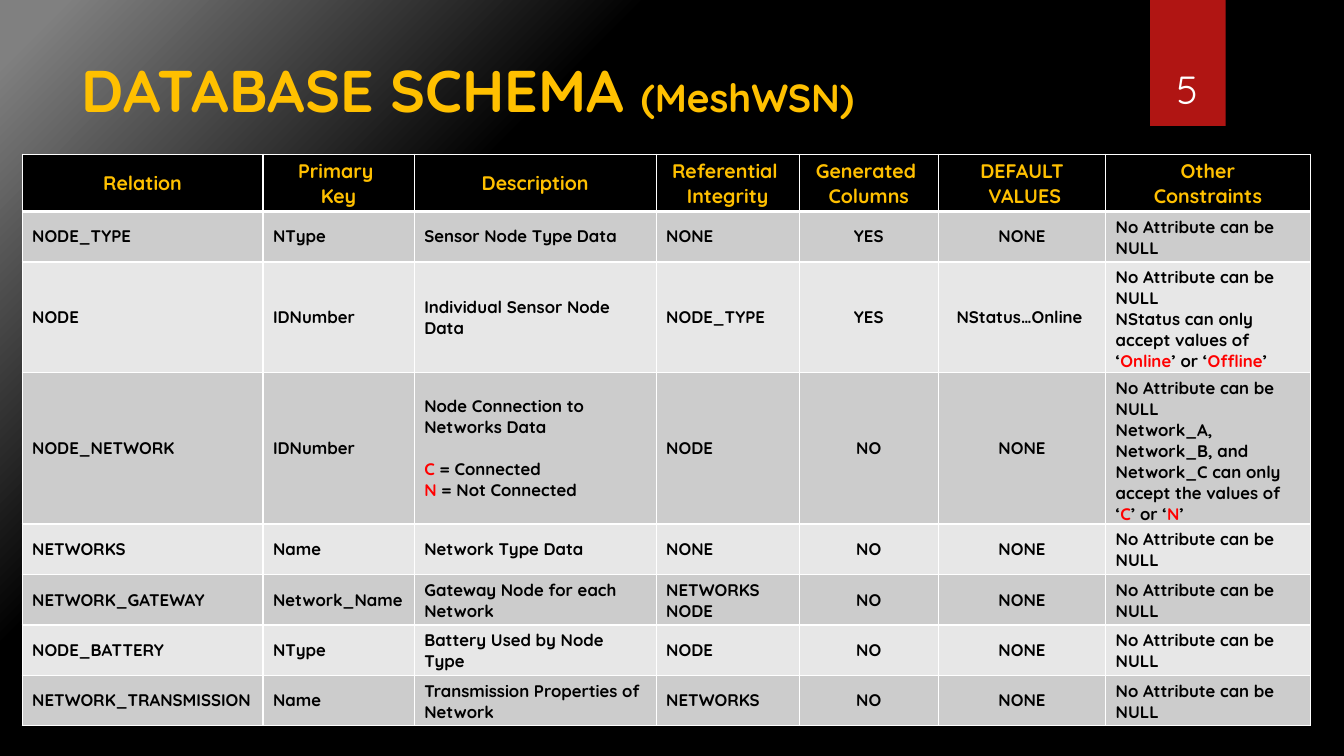
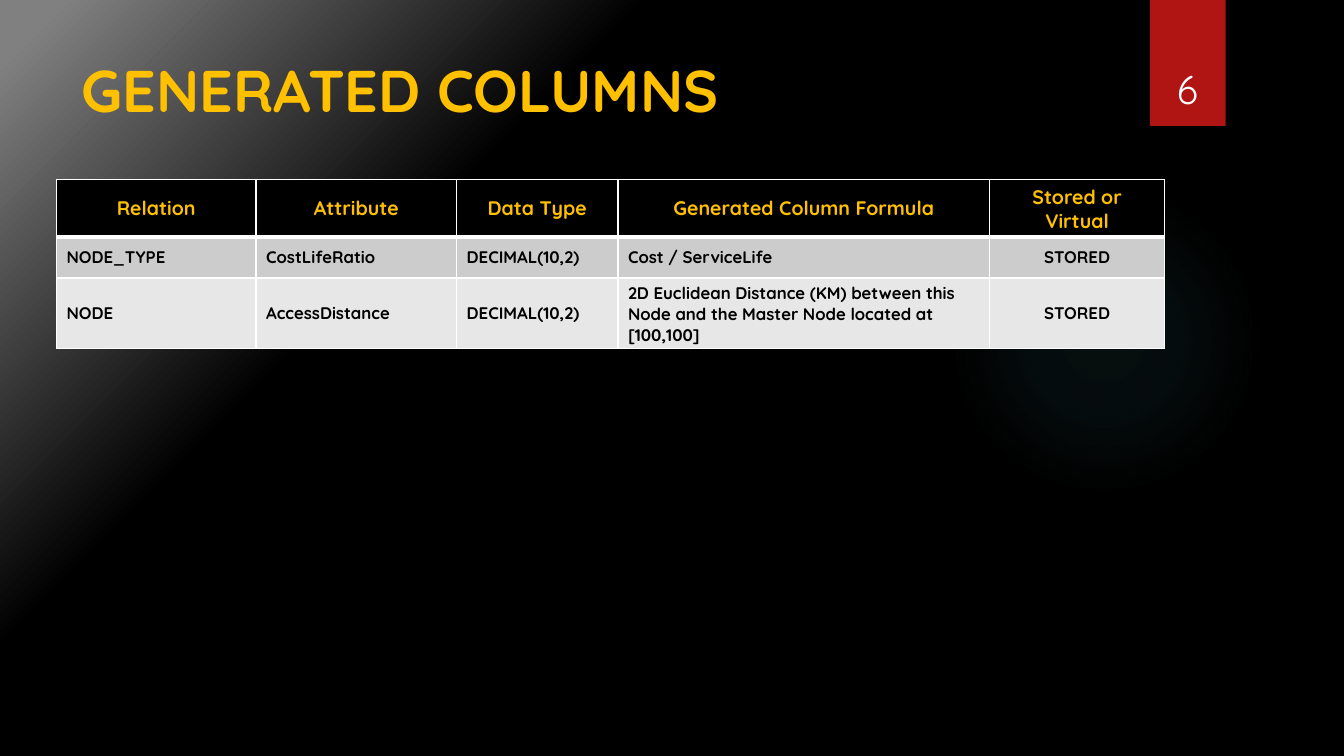
from dataclasses import dataclass

from pptx import Presentation as Deck
from pptx.dml.color import RGBColor as Color
from pptx.enum.shapes import MSO_SHAPE as Kind
from pptx.enum.text import MSO_ANCHOR as Anchor, MSO_AUTO_SIZE as Fit, PP_ALIGN as Align
from pptx.oxml import parse_xml as build
from pptx.oxml.ns import nsdecls, qn
from pptx.util import Pt


@dataclass(frozen=True)
class Theme:
    """Colours, font and type sizes of the deck."""
    font: str = "Quicksand"
    gold: str = "FFC000"
    red: str = "FF0000"
    flag: str = "B01513"
    glow: str = "50B9C1"
    black: str = "000000"
    white: str = "FFFFFF"
    grey: str = "808080"
    bands: tuple = ("CCCCCC", "E7E7E7")
    title: int = 42
    sub: int = 28
    head: int = 14
    body: int = 12


def adorn(item, form):
    """Set each named value of form on item."""
    for name, value in form.items():
        setattr(item, name, value)


def radial(stops, focus):
    """Return a round gradient; stops are (place, colour, opacity) in percent."""
    marks = "".join(
        f'<a:gs pos="{place * 1000}"><a:srgbClr val="{tone}">'
        f'<a:alpha val="{alpha * 1000}"/></a:srgbClr></a:gs>'
        for place, tone, alpha in stops)
    sides = " ".join(f'{side}="{part * 1000}"' for side, part in zip("ltrb", focus))
    return build(f'<a:gradFill {nsdecls("a")} rotWithShape="1"><a:gsLst>{marks}</a:gsLst>'
                 f'<a:path path="circle"><a:fillToRect {sides}/></a:path></a:gradFill>')


class Maker:
    """Builds slides in one style."""

    def __init__(self, theme):
        """Start a wide deck with the shared backdrop."""
        self.theme = theme
        self.deck = Deck()
        adorn(self.deck, {"slide_width": Pt(960), "slide_height": Pt(540)})
        master = self.deck.slide_master
        master.background.fill.solid()
        back = master.element.find(".//" + qn("p:bgPr"))
        stops = [(0, theme.black, 100), (23, theme.black, 100),
                 (69, theme.black, 100), (97, theme.grey, 100)]
        back.replace(back[0], radial(stops, (100, 100, 0, 0)))

    def text(self, para, words, size, tone, bold=True):
        """Add one run to a paragraph."""
        run = para.add_run()
        run.text = words
        adorn(run.font, {"name": self.theme.font, "size": Pt(size), "bold": bold})
        run.font.color.rgb = Color.from_string(tone)

    def shape(self, kind, box, tone):
        """Add a plain filled shape."""
        shape = self.slide.shapes.add_shape(kind, *map(Pt, box))
        shape.shadow.inherit = False
        shape.fill.solid()
        shape.fill.fore_color.rgb = Color.from_string(tone)
        shape.line.fill.background()
        return shape

    def glow(self):
        """Add the faint round glow."""
        tone = self.theme.glow
        props = self.shape(Kind.OVAL, (677.5, 131.8, 221.8, 221.8), tone).element.spPr
        stops = [(0, tone, 7), (36, tone, 6), (69, tone, 0)]
        props.replace(props.find(qn("a:solidFill")), radial(stops, (50, 50, 50, 50)))

    def flag(self, number):
        """Add the red flag and the page number on it."""
        theme = self.theme
        flag = self.shape(Kind.RECTANGLE, (821.5, 0, 54, 90), theme.flag)
        flag.element.spPr.find(qn("a:effectLst")).append(build(
            f'<a:outerShdw {nsdecls("a")} blurRad="{Pt(3)}" dist="{Pt(2)}" dir="5400000">'
            f'<a:srgbClr val="{theme.black}"><a:alpha val="45000"/></a:srgbClr></a:outerShdw>'))
        frame = self.slide.shapes.add_textbox(*map(Pt, (815, 23, 66.2, 60.5))).text_frame
        adorn(frame, {"word_wrap": True, "vertical_anchor": Anchor.BOTTOM})
        para = frame.paragraphs[0]
        para.alignment = Align.CENTER
        self.text(para, str(number), theme.sub, theme.white, False)

    def page(self, number, title, width, note=""):
        """Start a slide with its title, glow and flag."""
        theme = self.theme
        self.slide = self.deck.slides.add_slide(self.deck.slide_layouts[5])
        head = self.slide.shapes.title
        adorn(head, {"left": Pt(51.1), "top": Pt(36), "width": Pt(width), "height": Pt(52.6)})
        frame = head.text_frame
        adorn(frame, {"word_wrap": True, "auto_size": Fit.NONE,
                      "vertical_anchor": Anchor.TOP, "margin_top": Pt(2)})
        para = frame.paragraphs[0]
        para.alignment = Align.LEFT
        self.text(para, title, theme.title, theme.gold)
        if note:
            self.text(para, note, theme.sub, theme.gold)
        self.glow()
        self.flag(number)

    def edge(self, cell, row):
        """Draw the cell borders, with a thick rule under the header."""
        wide = {"T": 3 if row == 1 else 1, "B": 3 if row == 0 else 1}
        props = cell._tc.get_or_add_tcPr()
        for spot, side in enumerate("LRTB"):
            props.insert(spot, build(
                f'<a:ln{side} {nsdecls("a")} w="{Pt(wide.get(side, 1))}"><a:solidFill>'
                f'<a:srgbClr val="{self.theme.white}"/></a:solidFill></a:ln{side}>'))

    def cell(self, cell, words, row, middle):
        """Fill a cell: newline splits paragraphs, ^ adds a gap, *words* are red."""
        theme = self.theme
        size, tone, fill = ((theme.body, theme.black, theme.bands[(row - 1) % 2])
                            if row else (theme.head, theme.gold, theme.black))
        cell.vertical_anchor = Anchor.MIDDLE
        cell.fill.solid()
        cell.fill.fore_color.rgb = Color.from_string(fill)
        self.edge(cell, row)
        for index, line in enumerate(words.split("\n")):
            frame = cell.text_frame
            para = frame.add_paragraph() if index else frame.paragraphs[0]
            para.alignment = Align.CENTER if middle or not row else Align.LEFT
            if line.startswith("^"):
                para.space_before = Pt(15)
            for turn, part in enumerate(line.lstrip("^").split("*")):
                if part:
                    self.text(para, part, size, theme.red if turn % 2 else tone)

    def table(self, left, top, widths, rows, centred):
        """Add a banded table whose centred columns are given by index."""
        tall = 29.5
        grid = self.slide.shapes.add_table(
            len(rows), len(widths), Pt(left), Pt(top),
            Pt(sum(widths)), Pt(tall * len(rows))).table
        for column, width in zip(grid.columns, widths):
            column.width = Pt(width)
        for row, texts in enumerate(rows):
            grid.rows[row].height = Pt(tall)
            for col, words in enumerate(texts):
                self.cell(grid.cell(row, col), words, row, col in centred)


FULL = "No Attribute can be NULL"
SCHEMA = [
    ("Relation", "Primary \nKey", "Description", "Referential \nIntegrity",
     "Generated \nColumns", "DEFAULT\n VALUES", "Other\nConstraints"),
    ("NODE_TYPE", "NType", "Sensor Node Type Data", "NONE", "YES", "NONE", FULL),
    ("NODE", "IDNumber", "Individual Sensor Node Data", "NODE_TYPE", "YES",
     "NStatus…Online ",
     FULL + "\nNStatus can only accept values of ‘*Online*’ or ‘*Offline*’"),
    ("NODE_NETWORK", "IDNumber",
     "Node Connection to Networks Data\n^*C* = Connected\n*N* = Not Connected",
     "NODE", "NO", "NONE",
     FULL + "\nNetwork_A, Network_B, and Network_C can only accept the values of "
     "‘*C*’ or ‘*N*’"),
    ("NETWORKS", "Name", "Network Type Data", "NONE", "NO", "NONE", FULL),
    ("NETWORK_GATEWAY", "Network_Name", "Gateway Node for each Network",
     "NETWORKS\nNODE", "NO", "NONE", FULL),
    ("NODE_BATTERY", "NType", "Battery Used by Node Type", "NODE", "NO", "NONE", FULL),
    ("NETWORK_TRANSMISSION", "Name", "Transmission Properties of Network",
     "NETWORKS", "NO", "NONE", FULL),
]
COLUMNS = [
    ("Relation", "Attribute", "Data Type", "Generated Column Formula", "Stored or Virtual"),
    ("NODE_TYPE", "CostLifeRatio", "DECIMAL(10,2)", "Cost / ServiceLife", "STORED"),
    ("NODE", "AccessDistance", "DECIMAL(10,2)",
     "2D Euclidean Distance (KM) between this Node and the Master Node located at [100,100]",
     "STORED"),
]

maker = Maker(Theme())
maker.page(5, "DATABASE SCHEMA ", 621.4, "(MeshWSN)")
maker.table(15.8, 110.2, (172.1, 108, 172.8, 102.2, 99.4, 119.5, 146.2), SCHEMA, (4, 5))
maker.page(6, "GENERATED COLUMNS", 740.9)
maker.table(40.3, 128.2, (142.6, 143.3, 115.2, 265.7, 124.6), COLUMNS, (4,))
maker.deck.save("out.pptx")
